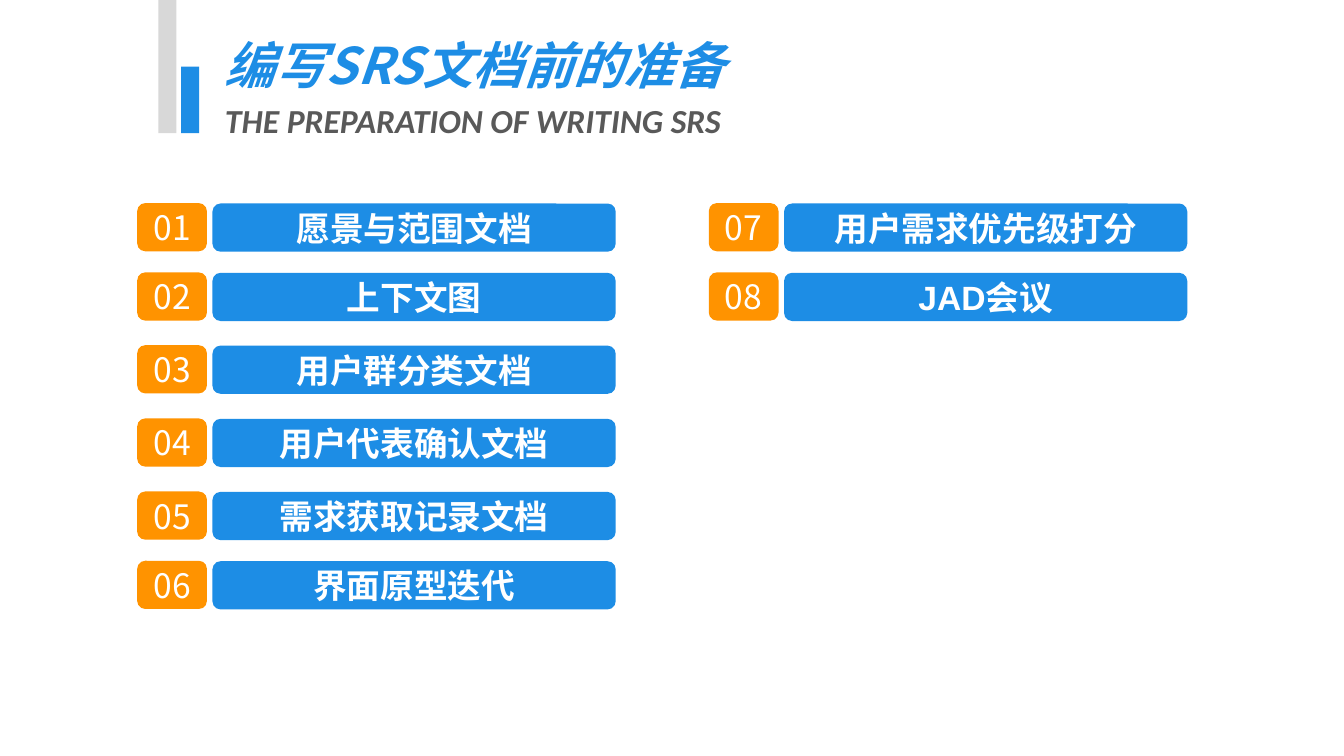
from pptx import Presentation
from pptx.dml.color import RGBColor
from pptx.enum.shapes import MSO_SHAPE
from pptx.enum.text import MSO_ANCHOR, MSO_AUTO_SIZE, PP_ALIGN
from pptx.oxml.ns import qn
from pptx.util import Pt

BLUE = RGBColor(0x1D, 0x8D, 0xE5)
ORANGE = RGBColor(0xFF, 0x93, 0x00)
LIGHT = RGBColor(0xD8, 0xD8, 0xD8)
GREY = RGBColor(0x59, 0x59, 0x59)
WHITE = RGBColor(0xFF, 0xFF, 0xFF)
CJK = "Noto Sans CJK SC"

TOPICS = ["愿景与范围文档", "上下文图", "用户群分类文档", "用户代表确认文档",
          "需求获取记录文档", "界面原型迭代", "用户需求优先级打分", "JAD会议"]
ROW_TOPS = [0, 49.5, 101.5, 153.8, 206, 255.5]


def add_text(p, text, size, color, font=CJK, bold=False, italic=False,
             align=PP_ALIGN.LEFT, spacing=None):
    p.alignment = align
    p.line_spacing = spacing
    r = p.add_run()
    r.text = text
    f = r.font
    f.name, f.size, f.bold, f.italic = font, Pt(size), bold, italic
    f.color.rgb = color
    ea = r._r.get_or_add_rPr().makeelement(qn("a:ea"), {"typeface": CJK})
    r._r.rPr.append(ea)


def add_block(s, kind, left, top, width, height, color):
    sp = s.shapes.add_shape(kind, Pt(left), Pt(top), Pt(width), Pt(height))
    sp.shadow.inherit = False
    sp.fill.solid()
    sp.fill.fore_color.rgb = color
    sp.line.fill.background()
    return sp


def add_label(s, left, top, width, height, color, text, **fmt):
    sp = add_block(s, MSO_SHAPE.ROUNDED_RECTANGLE, left, top, width, height, color)
    sp.adjustments[0] = 0.167
    tf = sp.text_frame
    tf.margin_left = tf.margin_right = tf.margin_top = tf.margin_bottom = 0
    tf.vertical_anchor = MSO_ANCHOR.MIDDLE
    tf.word_wrap = True
    add_text(tf.paragraphs[0], text, 24, WHITE, align=PP_ALIGN.CENTER, **fmt)


def add_header(s, left, top, width, height):
    add_block(s, MSO_SHAPE.RECTANGLE, left, top, 12.8, height, LIGHT)
    add_block(s, MSO_SHAPE.RECTANGLE, left + 16.2, top + height / 2, 12.8, height / 2, BLUE)
    title = s.shapes.title
    title.left, title.top = Pt(left + 40.3), Pt(top + 15.8)
    title.width, title.height = Pt(width - 40.3), Pt(87.1)
    tf = title.text_frame
    tf.auto_size = MSO_AUTO_SIZE.SHAPE_TO_FIT_TEXT
    tf.vertical_anchor = MSO_ANCHOR.TOP
    tf.word_wrap = True
    add_text(tf.paragraphs[0], "编写SRS文档前的准备", 36, BLUE,
             bold=True, italic=True, spacing=1.12)
    add_text(tf.add_paragraph(), "THE PREPARATION OF WRITING SRS", 24, GREY,
             font="Calibri", bold=True, italic=True, spacing=1.12)


def add_topics(s, left, top, width, height, topics, first):
    for i, (topic, offset) in enumerate(zip(topics, ROW_TOPS)):
        y = top + offset
        add_label(s, left + 53.8, y, width - 53.8, height, BLUE, topic,
                  font="Arial", bold=True)
        add_label(s, left, y - 0.3, 49.8, height, ORANGE, f"{first + i:02d}")


def main():
    prs = Presentation()
    prs.slide_width, prs.slide_height = Pt(960), Pt(540)
    s = prs.slides.add_slide(prs.slide_layouts[5])
    add_header(s, 113.2, 0, 452.1, 95.2)
    rows = len(ROW_TOPS)
    for col, left in enumerate([98, 506.3]):
        start = col * rows
        add_topics(s, left, 145.4, 341.8, 34.4, TOPICS[start:start + rows], start + 1)
    prs.save("out.pptx")


if __name__ == "__main__":
    main()
